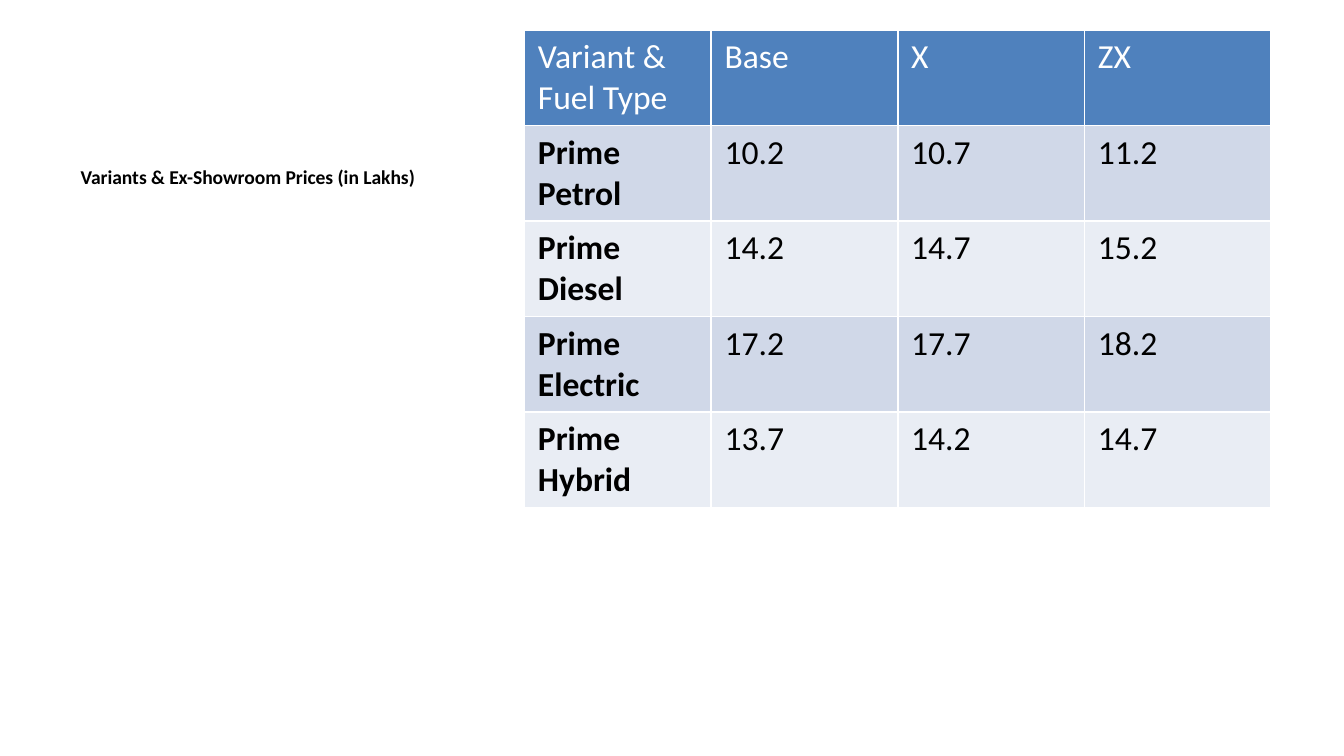
from pptx import Presentation
from pptx.dml.color import RGBColor
from pptx.enum.text import MSO_ANCHOR, MSO_AUTO_SIZE, PP_ALIGN
from pptx.util import Pt

FONT = "Calibri"
HEADER_FILL = "4F81BD"
BAND_FILLS = ("D0D8E8", "E9EDF4")
PRICES = [
    ("Variant & Fuel Type", "Base", "X", "ZX"),
    ("Prime Petrol", "10.2", "10.7", "11.2"),
    ("Prime Diesel", "14.2", "14.7", "15.2"),
    ("Prime Electric", "17.2", "17.7", "18.2"),
    ("Prime Hybrid", "13.7", "14.2", "14.7"),
]


def color(value):
    return RGBColor.from_string(value)


def style_font(para, size, ink, bold):
    para.font.name = FONT
    para.font.size = Pt(size)
    para.font.bold = bold
    para.font.color.rgb = color(ink)


def set_title(page, text):
    title = page.shapes.title
    title.left, title.top = Pt(36), Pt(85)
    title.width, title.height = Pt(237), Pt(277)
    frame = title.text_frame
    frame.text = text
    frame.word_wrap = True
    frame.auto_size = MSO_AUTO_SIZE.NONE
    frame.vertical_anchor = MSO_ANCHOR.TOP
    para = frame.paragraphs[0]
    para.alignment = PP_ALIGN.LEFT
    style_font(para, 10.5, "000000", True)


def fill_cell(cell, text, fill, ink, bold):
    cell.text = text
    cell.fill.solid()
    cell.fill.fore_color.rgb = color(fill)
    style_font(cell.text_frame.paragraphs[0], 18, ink, bold)


def add_price_table(page, rows):
    column_width, row_height = Pt(100), Pt(51)
    column_count = len(rows[0])
    frame = page.shapes.add_table(
        len(rows), column_count, Pt(281), Pt(16),
        column_width * column_count, row_height * len(rows))
    table = frame.table
    for row_index, row in enumerate(rows):
        is_header = row_index == 0
        fill = HEADER_FILL if is_header else BAND_FILLS[(row_index - 1) % 2]
        ink = "FFFFFF" if is_header else "000000"
        for column_index, text in enumerate(row):
            bold = column_index == 0 and not is_header
            fill_cell(table.cell(row_index, column_index), text, fill, ink, bold)


def main():
    deck = Presentation()
    deck.slide_width, deck.slide_height = Pt(720), Pt(405)
    page = deck.slides.add_slide(deck.slide_layouts[5])
    set_title(page, "Variants & Ex-Showroom Prices (in Lakhs)")
    add_price_table(page, PRICES)
    deck.save("out.pptx")


if __name__ == "__main__":
    main()
